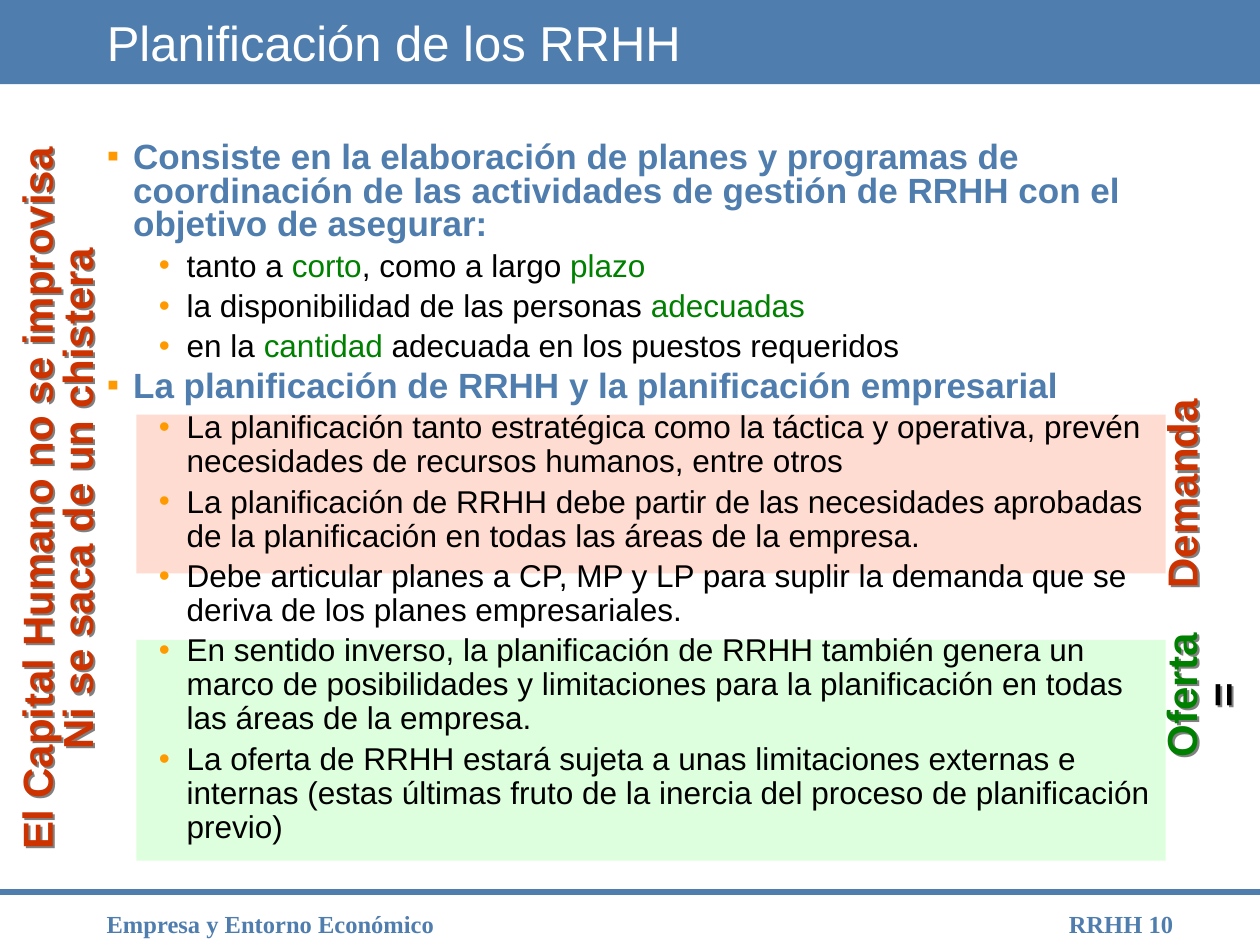
import pptx
import pptx.util
import pptx.dml.color
import pptx.enum.shapes
import pptx.enum.text
import pptx.oxml
import pptx.oxml.ns
from pptx.util import Cm, Pt

HUES = {
    "blue": "4F7DAE", "white": "FFFFFF", "black": "000000", "green": "008000",
    "red": "CC3300", "orange": "FF9900", "mint": "DDFFDD", "rose": "FFDCD1",
    "grey": "808080",
}
ALIGN = pptx.enum.text.PP_ALIGN
ITEMS = [
    (0, "Consiste en la elaboración de planes y programas de coordinación de las "
        "actividades de gestión de RRHH con el objetivo de asegurar:"),
    (1, "tanto a *corto*, como a largo *plazo"),
    (1, "la disponibilidad de las personas *adecuadas"),
    (1, "en la *cantidad* adecuada en los puestos requeridos"),
    (0, "La planificación de RRHH y la planificación empresarial"),
    (1, "La planificación tanto estratégica como la táctica y operativa, prevén "
        "necesidades de recursos humanos, entre otros"),
    (1, "La planificación de RRHH debe partir de las necesidades aprobadas de la "
        "planificación en todas las áreas de la empresa."),
    (1, "Debe articular planes a CP, MP y LP para suplir la demanda que se deriva "
        "de los planes empresariales."),
    (1, "En sentido inverso, la planificación de RRHH también genera un marco de "
        "posibilidades y limitaciones para la planificación en todas las áreas de "
        "la empresa."),
    (1, "La oferta de RRHH estará sujeta a unas limitaciones externas e internas "
        "(estas últimas fruto de la inercia del proceso de planificación previo)"),
]
LEVELS = [
    {"mark": "▪", "left": 0.53, "hang": 0.53, "line": 0.8, "size": 20,
     "hue": "blue", "bold": True},
    {"mark": "•", "left": 1.61, "hang": 0.56, "line": 0.9, "size": 18,
     "hue": "black", "bold": False},
]


def tint(hue):
    return pptx.dml.color.RGBColor.from_string(HUES[hue])


def make(tag, host, **attrs):
    node = pptx.oxml.parse_xml(f"<a:{tag} {pptx.oxml.ns.nsdecls('a')}/>")
    for key, val in attrs.items():
        node.set(key, str(val))
    host.append(node)
    return node


def style(run, size, hue, bold=False, face="Arial"):
    font = run.font
    font.size, font.bold, font.name = Pt(size), bold, face
    font.color.rgb = tint(hue)


def shade(label):
    glow = make("effectLst", label._element.spPr)
    cast = make("outerShdw", glow, dist=Cm(0.06), dir=2700000,
                algn="ctr", rotWithShape=0)
    make("srgbClr", cast, val=HUES["grey"])


def place(shape, box):
    shape.left, shape.top, shape.width, shape.height = [Cm(n) for n in box]


def add_band(slide, box, hue):
    band = slide.shapes.add_shape(
        pptx.enum.shapes.MSO_SHAPE.RECTANGLE, *[Cm(n) for n in box])
    band.shadow.inherit = False
    band.fill.solid()
    band.fill.fore_color.rgb = tint(hue)
    band.line.fill.background()


def add_rule(slide, top):
    rule = slide.shapes.add_connector(
        pptx.enum.shapes.MSO_CONNECTOR.STRAIGHT, Cm(0), Cm(top), Cm(25.4), Cm(top))
    rule.line.color.rgb = tint("blue")
    rule.line.width = Pt(3)
    make("effectLst", rule._element.spPr)


def add_foot(slide, box, text, align):
    frame = slide.shapes.add_textbox(*[Cm(n) for n in box]).text_frame
    frame.word_wrap = True
    frame.text = text
    para = frame.paragraphs[0]
    para.alignment = align
    style(para.runs[0], 14, "blue", True, "Times New Roman")


def add_side(slide, box, lines, inset=True):
    label = slide.shapes.add_textbox(*[Cm(n) for n in box])
    label.rotation = 270
    shade(label)
    frame = label.text_frame
    frame.word_wrap = True
    if not inset:
        frame.margin_left = frame.margin_right = 0
        frame.margin_top = frame.margin_bottom = 0
    frame.text = "\n".join(text for text, hue in lines)
    for para, (text, hue) in zip(frame.paragraphs, lines):
        para.alignment = ALIGN.CENTER
        para.line_spacing = 0.8
        style(para.runs[0], 24, hue, True)


def fill_title(slide, text):
    title = slide.shapes.title
    place(title, (1.9, 0, 21.6, 1.7))
    frame = title.text_frame
    frame.auto_size = pptx.enum.text.MSO_AUTO_SIZE.NONE
    frame.vertical_anchor = pptx.enum.text.MSO_ANCHOR.MIDDLE
    frame.text = text
    frame.paragraphs[0].alignment = ALIGN.LEFT
    style(frame.paragraphs[0].runs[0], 28, "white")
    slide.shapes._spTree.append(title._element)


def fill_item(para, level, text):
    look = LEVELS[level]
    para.level = level
    para.line_spacing = look["line"]
    para.space_before = Pt(look["size"] * 0.2)
    props = para._p.get_or_add_pPr()
    props.set("marL", str(Cm(look["left"])))
    props.set("indent", str(-Cm(look["hang"])))
    make("srgbClr", make("buClr", props), val=HUES["orange"])
    make("buFont", props, typeface="Arial")
    make("buChar", props, char=look["mark"])
    for num, part in enumerate(text.split("*")):
        run = para.add_run()
        run.text = part
        style(run, look["size"], "green" if num % 2 else look["hue"], look["bold"])


def fill_body(slide):
    body = slide.placeholders[1]
    place(body, (1.9, 2.75, 21.6, 14.4))
    frame = body.text_frame
    frame.auto_size = pptx.enum.text.MSO_AUTO_SIZE.NONE
    for num, (level, text) in enumerate(ITEMS):
        para = frame.add_paragraph() if num else frame.paragraphs[0]
        fill_item(para, level, text)
    slide.shapes._spTree.append(body._element)


def main():
    deck = pptx.Presentation()
    deck.slide_width, deck.slide_height = Cm(25.4), Cm(19.05)
    slide = deck.slides.add_slide(deck.slide_layouts[1])
    add_band(slide, (0, 0, 25.4, 1.7), "blue")
    add_rule(slide, 17.98)
    add_foot(slide, (20.3, 18.21, 3.6, 0.64), "RRHH 10", ALIGN.RIGHT)
    add_foot(slide, (1.9, 18.21, 11.86, 0.64), "Empresa y Entorno Económico", ALIGN.LEFT)
    add_band(slide, (2.75, 12.9, 20.75, 4.45), "mint")
    add_band(slide, (2.75, 8.36, 20.75, 3.2), "rose")
    fill_title(slide, "Planificación de los RRHH")
    fill_body(slide)
    add_side(slide, (-6.38, 9.2, 15.04, 1.7),
             [("El Capital Humano no se improvisa", "red"),
              ("Ni se saca de un chistera", "red")])
    add_side(slide, (22.05, 13.61, 3.68, 0.81),
             [("Oferta", "green"), ("=", "black")], False)
    add_side(slide, (21.8, 9.55, 4.2, 0.81), [("Demanda", "red")], False)
    deck.save("out.pptx")


if __name__ == "__main__":
    main()
